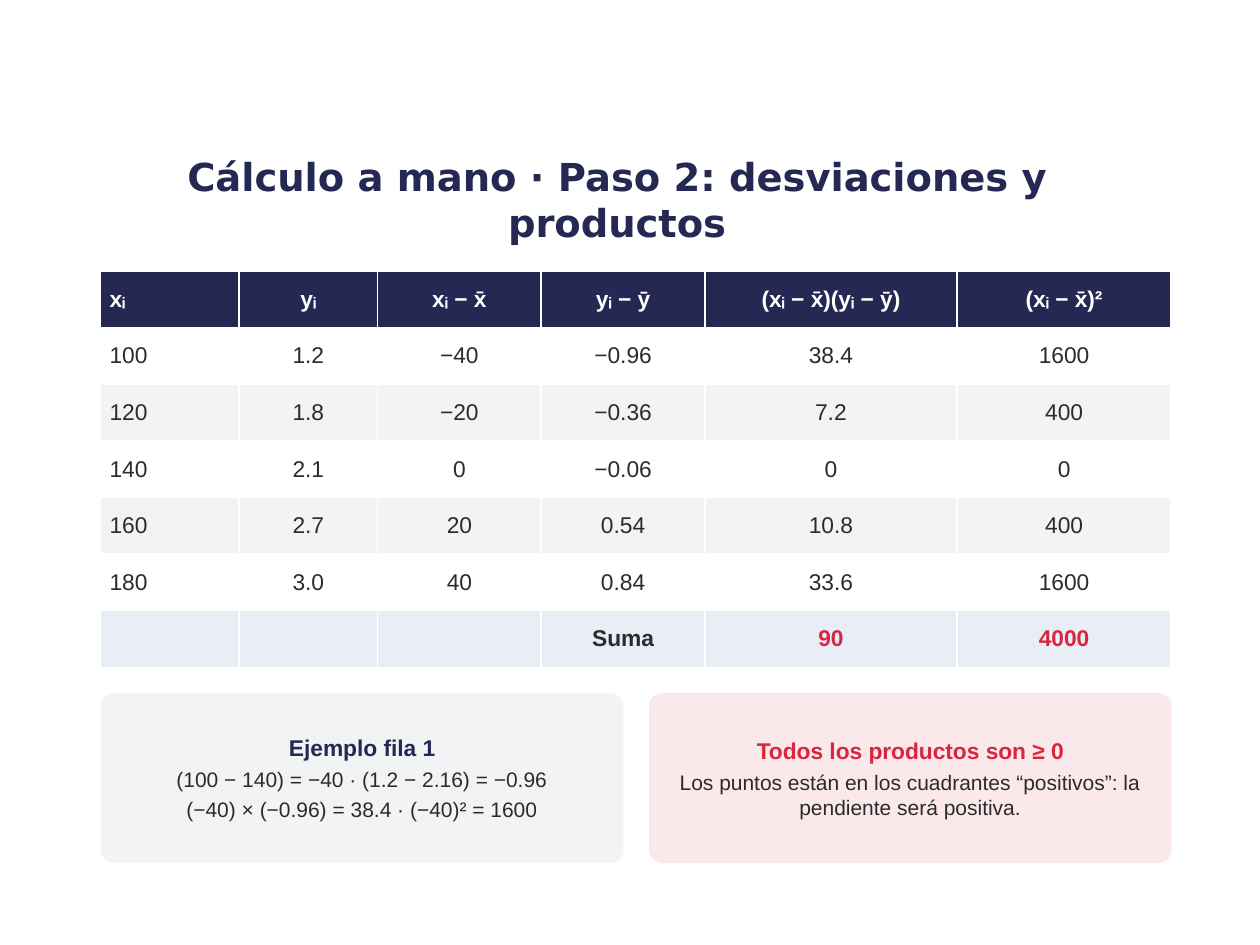
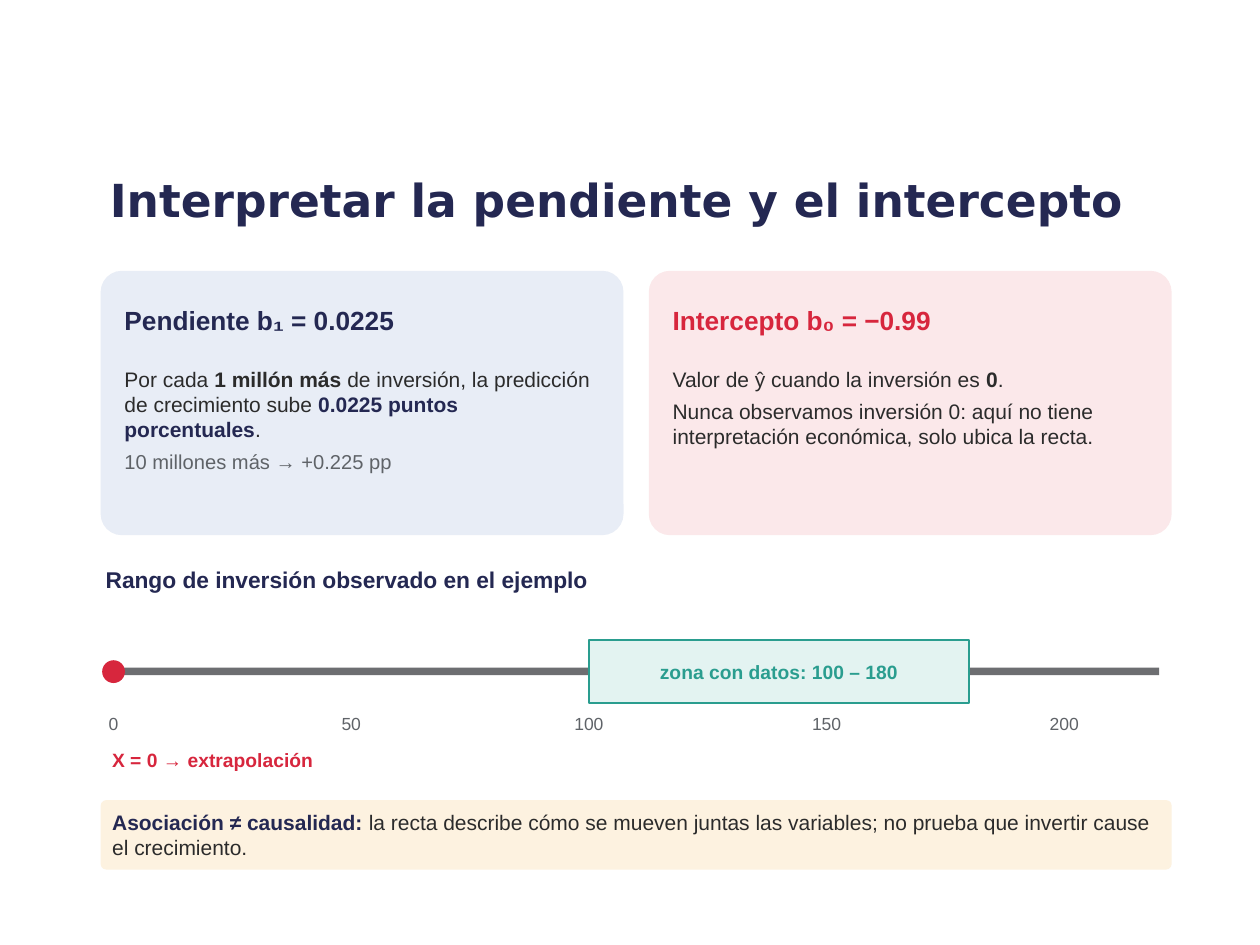
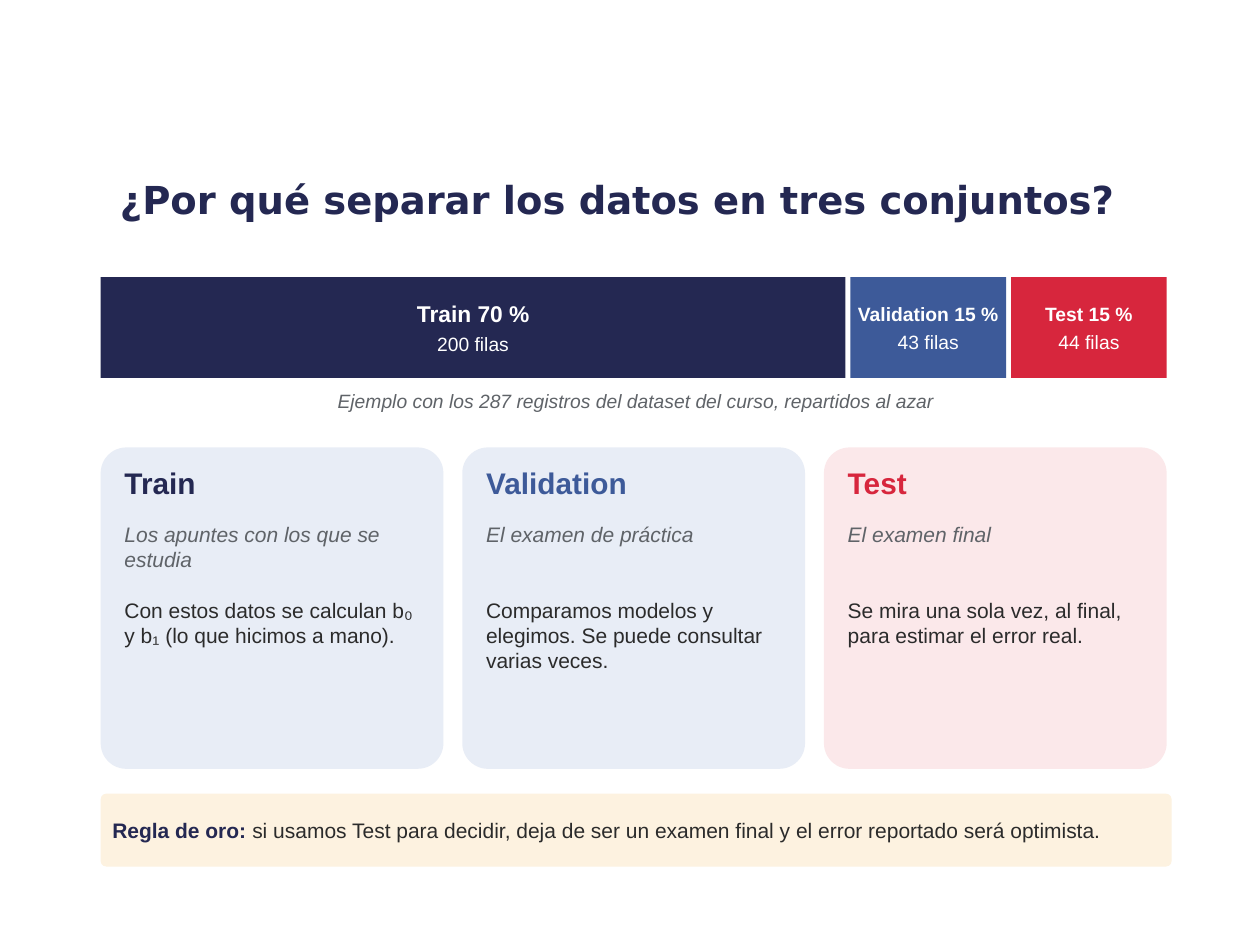
"""Build three slides on simple linear regression and data splitting."""
from dataclasses import dataclass

from pptx import Presentation
from pptx.dml.color import RGBColor
from pptx.enum.shapes import MSO_SHAPE
from pptx.enum.text import MSO_ANCHOR, MSO_AUTO_SIZE, PP_ALIGN
from pptx.util import Cm, Pt


@dataclass(frozen=True)
class Theme:
    """Colours, fonts, type sizes and shared measures in centimetres."""

    navy: str = "242852"
    blue: str = "3D5A99"
    red: str = "D7263D"
    teal: str = "2A9D8F"
    ink: str = "2B2B2B"
    muted: str = "5F6368"
    axis: str = "6D6E71"
    white: str = "FFFFFF"
    pale_grey: str = "F2F3F5"
    pale_blue: str = "E8EDF6"
    pale_red: str = "FBE8EA"
    pale_teal: str = "E3F3F1"
    pale_amber: str = "FDF2E0"
    title_font: str = "DejaVu Sans"
    body_font: str = "Arial"
    title_size: float = 22
    big_title_size: float = 26
    card_size: float = 17
    heading_size: float = 15
    strong_size: float = 13
    body_size: float = 12
    aside_size: float = 11.5
    small_size: float = 11
    tick_size: float = 10
    left: float = 2.03
    width: float = 21.59
    padding: float = 0.38
    corner: float = 0.08


THEME = Theme()
CENTER = PP_ALIGN.CENTER


def add_text(frame, text, *, size=THEME.body_size, color=THEME.ink, bold=False,
             italic=False, font=THEME.body_font, align=PP_ALIGN.LEFT, after=4,
             same_line=False):
    """Write a run in a new paragraph, or continue the last paragraph."""
    paragraph = frame.paragraphs[-1]
    if not same_line:
        if paragraph.runs:
            paragraph = frame.add_paragraph()
        paragraph.alignment = align
        paragraph.space_after = Pt(after)
    run = paragraph.add_run()
    run.text = text
    run.font.name = font
    run.font.size = Pt(size)
    run.font.bold = bold
    run.font.italic = italic
    run.font.color.rgb = RGBColor.from_string(color)


def set_frame(frame, inset, anchor):
    """Give a text frame wrapping, equal insets and an anchor."""
    frame.word_wrap = True
    frame.auto_size = MSO_AUTO_SIZE.NONE
    frame.margin_left = frame.margin_right = Cm(inset)
    frame.margin_top = frame.margin_bottom = Cm(inset)
    frame.vertical_anchor = anchor
    return frame


def add_label(slide, left, top, width, height, anchor=MSO_ANCHOR.TOP):
    """Add an empty text box and return its text frame."""
    label = slide.shapes.add_textbox(Cm(left), Cm(top), Cm(width), Cm(height))
    return set_frame(label.text_frame, 0.1, anchor)


def add_panel(slide, left, top, width, height, fill, *,
              outline=None, kind=MSO_SHAPE.ROUNDED_RECTANGLE, inset=0.2):
    """Add a flat filled shape and return its text frame."""
    panel = slide.shapes.add_shape(kind, Cm(left), Cm(top), Cm(width), Cm(height))
    panel.shadow.inherit = False
    panel.fill.solid()
    panel.fill.fore_color.rgb = RGBColor.from_string(fill)
    if outline:
        panel.line.color.rgb = RGBColor.from_string(outline)
        panel.line.width = Pt(1.25)
    else:
        panel.line.fill.background()
    if kind == MSO_SHAPE.ROUNDED_RECTANGLE:
        panel.adjustments[0] = THEME.corner
    return set_frame(panel.text_frame, inset, MSO_ANCHOR.MIDDLE)


def add_titled_slide(deck, title, size=THEME.title_size):
    """Add a slide with the shared title style."""
    slide = deck.slides.add_slide(deck.slide_layouts[5])
    heading = slide.shapes.title
    heading.left, heading.top = Cm(1.9), Cm(3)
    heading.width, heading.height = Cm(21.08), Cm(2.03)
    frame = heading.text_frame
    frame.word_wrap = True
    frame.auto_size = MSO_AUTO_SIZE.NONE
    frame.vertical_anchor = MSO_ANCHOR.MIDDLE
    add_text(frame, title, size=size, color=THEME.navy, bold=True,
             font=THEME.title_font, align=CENTER, after=0)
    return slide


def columns(count, gap, total=THEME.width):
    """Return the left edges and the width of equal columns."""
    width = (total - gap * (count - 1)) / count
    return [THEME.left + i * (width + gap) for i in range(count)], width


def add_note(slide, top, height, lead, message):
    """Add the full-width takeaway band with a bold lead."""
    band = add_panel(slide, THEME.left, top, THEME.width, height, THEME.pale_amber)
    add_text(band, lead, color=THEME.navy, bold=True, after=3)
    add_text(band, message, same_line=True)


def add_deviation_table(slide):
    """Add the table of deviations and products with its sum row."""
    rows = [
        ("xᵢ", "yᵢ", "xᵢ − x̄", "yᵢ − ȳ", "(xᵢ − x̄)(yᵢ − ȳ)", "(xᵢ − x̄)²"),
        ("100", "1.2", "−40", "−0.96", "38.4", "1600"),
        ("120", "1.8", "−20", "−0.36", "7.2", "400"),
        ("140", "2.1", "0", "−0.06", "0", "0"),
        ("160", "2.7", "20", "0.54", "10.8", "400"),
        ("180", "3.0", "40", "0.84", "33.6", "1600"),
        ("", "", "", "Suma", "90", "4000"),
    ]
    widths = (2.79, 2.79, 3.3, 3.3, 5.08, 4.32)
    last = len(rows) - 1
    table = slide.shapes.add_table(
        len(rows), len(widths), Cm(THEME.left), Cm(5.46),
        Cm(THEME.width), Cm(8)).table
    for column, width in zip(table.columns, widths):
        column.width = Cm(width)
    for r, values in enumerate(rows):
        fill = THEME.white if r % 2 else THEME.pale_grey
        if r in (0, last):
            fill = THEME.pale_blue if r else THEME.navy
        for c, value in enumerate(values):
            cell = table.cell(r, c)
            cell.fill.solid()
            cell.fill.fore_color.rgb = RGBColor.from_string(fill)
            cell.vertical_anchor = MSO_ANCHOR.MIDDLE
            cell.margin_left = cell.margin_right = Cm(0.18)
            cell.margin_top = cell.margin_bottom = Cm(0.08)
            color = THEME.ink if r else THEME.white
            if r == last and c > 3:
                color = THEME.red
            if value:
                add_text(cell.text_frame, value, size=THEME.strong_size,
                         color=color, bold=r in (0, last), after=0,
                         align=CENTER if c else PP_ALIGN.LEFT)


def build_deviations(deck):
    """Build the slide with deviations and products."""
    slide = add_titled_slide(deck, "Cálculo a mano · Paso 2: desviaciones y productos")
    add_deviation_table(slide)
    remarks = [
        (THEME.pale_grey, THEME.navy, "Ejemplo fila 1",
         ["(100 − 140) = −40 · (1.2 − 2.16) = −0.96",
          "(−40) × (−0.96) = 38.4 · (−40)² = 1600"]),
        (THEME.pale_red, THEME.red, "Todos los productos son ≥ 0",
         ["Los puntos están en los cuadrantes “positivos”: la pendiente será positiva."]),
    ]
    lefts, width = columns(2, 0.51)
    for left, (fill, accent, heading, lines) in zip(lefts, remarks):
        remark = add_panel(slide, left, 13.97, width, 3.43, fill)
        add_text(remark, heading, size=THEME.strong_size, color=accent,
                 bold=True, align=CENTER, after=3)
        for line in lines:
            add_text(remark, line, align=CENTER, after=3)


def add_coefficient(slide, left, width, fill, accent, heading):
    """Add a coefficient card and return the frame for its explanation."""
    top = 5.46
    add_panel(slide, left, top, width, 5.33, fill)
    inner = left + THEME.padding
    name = add_label(slide, inner, top + 0.3, 9.91, 1.4, MSO_ANCHOR.MIDDLE)
    add_text(name, heading, size=THEME.heading_size, color=accent, bold=True)
    return add_label(slide, inner, top + 1.83, 9.78, 3.3)


def add_investment_axis(slide):
    """Draw the investment scale with the observed zone and the zero point."""
    start, length, middle, maximum = 2.29, 21.08, 13.54, 220
    data_from, data_to = 100, 180
    unit = length / maximum
    add_panel(slide, start, middle - 0.08, length, 0.15, THEME.axis,
              kind=MSO_SHAPE.RECTANGLE)
    zone = add_panel(slide, start + data_from * unit, middle - 0.64,
                     (data_to - data_from) * unit, 1.27, THEME.pale_teal,
                     outline=THEME.teal, kind=MSO_SHAPE.RECTANGLE)
    add_text(zone, f"zona con datos: {data_from} – {data_to}", bold=True,
             size=THEME.small_size, color=THEME.teal, align=CENTER, after=3)
    for amount in range(0, maximum, 50):
        tick = add_label(slide, start + amount * unit - 0.76, 14.27, 1.52, 0.76)
        add_text(tick, str(amount), size=THEME.tick_size, color=THEME.muted,
                 align=CENTER)
    add_panel(slide, start - 0.23, middle - 0.23, 0.46, 0.46, THEME.red,
              kind=MSO_SHAPE.OVAL)
    warning = add_label(slide, 2.16, 14.99, 7.62, 1.02)
    add_text(warning, "X = 0 → extrapolación", size=THEME.small_size,
             color=THEME.red, bold=True)


def build_interpretation(deck):
    """Build the slide on the slope and the intercept."""
    slide = add_titled_slide(deck, "Interpretar la pendiente y el intercepto",
                             THEME.big_title_size)
    (slope_left, intercept_left), width = columns(2, 0.51)
    slope = add_coefficient(slide, slope_left, width, THEME.pale_blue,
                            THEME.navy, "Pendiente b₁ = 0.0225")
    add_text(slope, "Por cada ")
    add_text(slope, "1 millón más", bold=True, same_line=True)
    add_text(slope, " de inversión, la predicción de crecimiento sube ",
             same_line=True)
    add_text(slope, "0.0225 puntos porcentuales", color=THEME.navy, bold=True,
             same_line=True)
    add_text(slope, ".", same_line=True)
    add_text(slope, "10 millones más → +0.225 pp", size=THEME.aside_size,
             color=THEME.muted)

    intercept = add_coefficient(slide, intercept_left, width, THEME.pale_red,
                                THEME.red, "Intercepto b₀ = −0.99")
    add_text(intercept, "Valor de ŷ cuando la inversión es ")
    add_text(intercept, "0", bold=True, same_line=True)
    add_text(intercept, ".", same_line=True)
    add_text(intercept, "Nunca observamos inversión 0: aquí no tiene "
                        "interpretación económica, solo ubica la recta.")

    scale_heading = add_label(slide, THEME.left, 11.3, THEME.width, 1.02)
    add_text(scale_heading, "Rango de inversión observado en el ejemplo",
             size=THEME.strong_size, color=THEME.navy, bold=True)
    add_investment_axis(slide)
    add_note(slide, 16.13, 1.4, "Asociación ≠ causalidad: ",
             "la recta describe cómo se mueven juntas las variables; "
             "no prueba que invertir cause el crecimiento.")


def add_split_bar(slide):
    """Draw the proportional bar of the three data sets."""
    splits = [
        ("Train", 70, 200, THEME.navy, THEME.strong_size),
        ("Validation", 15, 43, THEME.blue, THEME.small_size),
        ("Test", 15, 44, THEME.red, THEME.small_size),
    ]
    left = THEME.left
    for name, percent, records, fill, size in splits:
        share = THEME.width * percent / 100
        segment = add_panel(slide, left, 5.59, share - 0.1, 2.03, fill,
                            kind=MSO_SHAPE.RECTANGLE, inset=0.05)
        add_text(segment, f"{name} {percent} %", size=size, color=THEME.white,
                 bold=True, align=CENTER, after=3)
        add_text(segment, f"{records} filas", size=THEME.small_size,
                 color=THEME.white, align=CENTER, after=3)
        left += share


def add_role_card(slide, left, width, fill, accent, name, metaphor, role):
    """Add a card on what one data set is for."""
    top, inner, inner_width = 9.02, left + THEME.padding, 6.22
    add_panel(slide, left, top, width, 6.48, fill)
    add_text(add_label(slide, inner, top + 0.25, inner_width, 1.14), name,
             size=THEME.card_size, color=accent, bold=True)
    add_text(add_label(slide, inner, top + 1.4, inner_width, 1.52), metaphor,
             color=THEME.muted, italic=True)
    add_text(add_label(slide, inner, top + 2.92, inner_width, 3.3), role)


def build_data_split(deck):
    """Build the slide on train, validation and test sets."""
    slide = add_titled_slide(deck, "¿Por qué separar los datos en tres conjuntos?")
    add_split_bar(slide)
    caption = add_label(slide, THEME.left, 7.75, THEME.width, 0.89)
    add_text(caption, "Ejemplo con los 287 registros del dataset del curso, "
                      "repartidos al azar",
             size=THEME.small_size, color=THEME.muted, italic=True, align=CENTER)
    roles = [
        (THEME.pale_blue, THEME.navy, "Train", "Los apuntes con los que se estudia",
         "Con estos datos se calculan b₀ y b₁ (lo que hicimos a mano)."),
        (THEME.pale_blue, THEME.blue, "Validation", "El examen de práctica",
         "Comparamos modelos y elegimos. Se puede consultar varias veces."),
        (THEME.pale_red, THEME.red, "Test", "El examen final",
         "Se mira una sola vez, al final, para estimar el error real."),
    ]
    lefts, width = columns(3, 0.38, THEME.width - 0.1)
    for left, role in zip(lefts, roles):
        add_role_card(slide, left, width, *role)
    add_note(slide, 16, 1.47, "Regla de oro: ",
             "si usamos Test para decidir, deja de ser un examen final "
             "y el error reportado será optimista.")


def main():
    """Build and save the deck."""
    deck = Presentation()
    deck.slide_width, deck.slide_height = Cm(25.4), Cm(19.05)
    build_deviations(deck)
    build_interpretation(deck)
    build_data_split(deck)
    deck.save("out.pptx")


if __name__ == "__main__":
    main()
